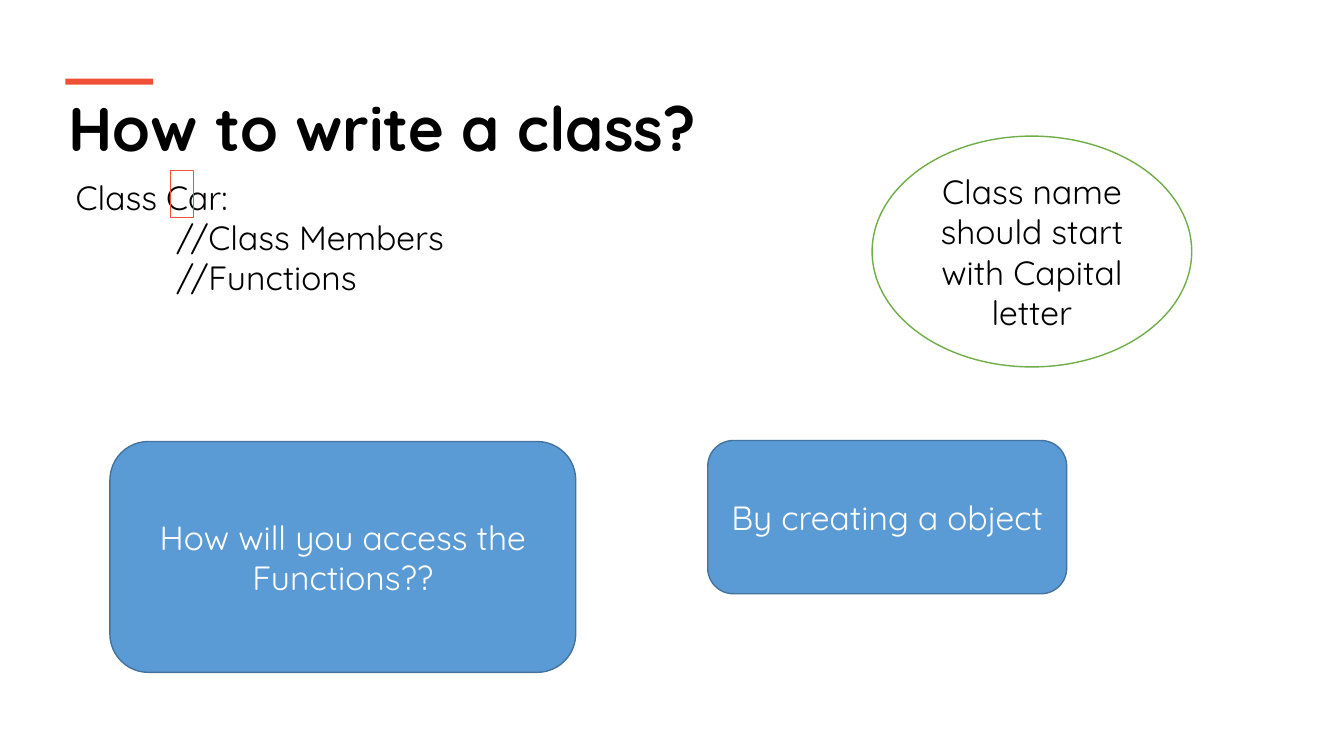
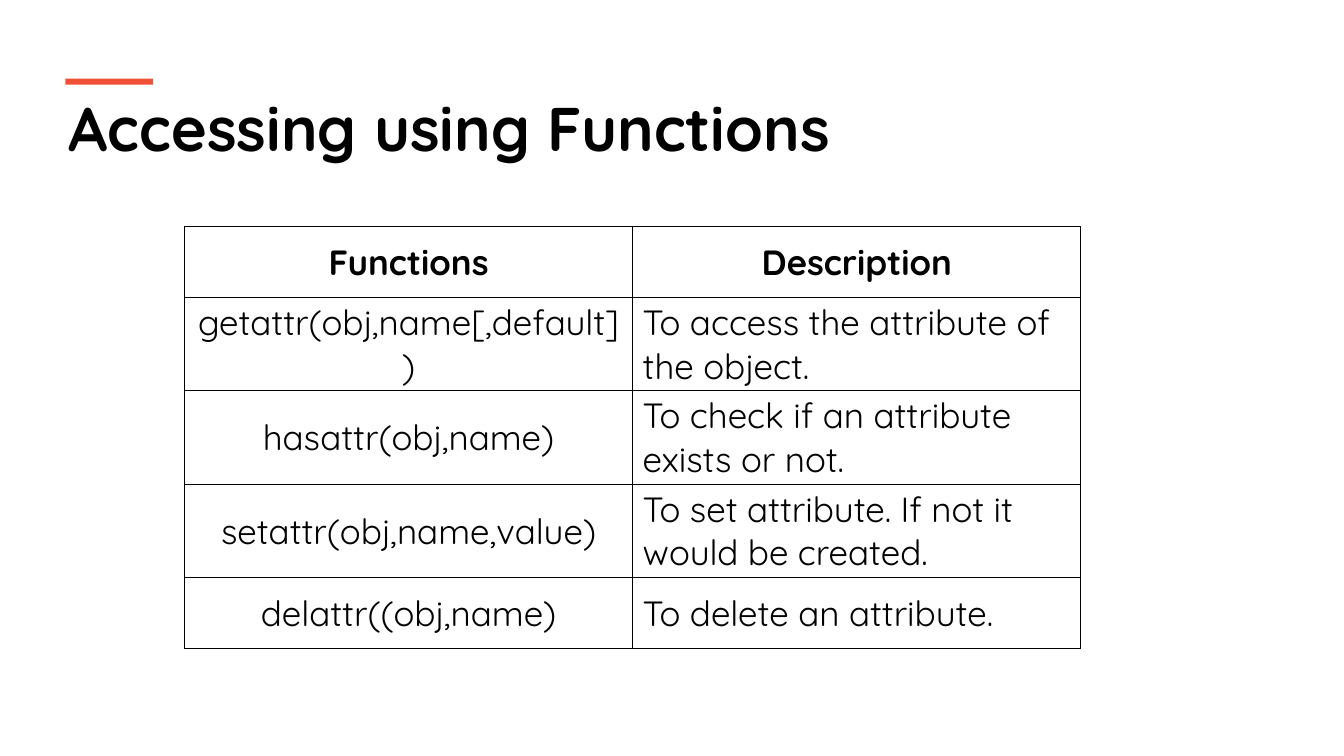
from pptx import Presentation
from pptx import util as u
from pptx.dml.color import RGBColor
from pptx.enum import shapes, text
from pptx.oxml.ns import qn
from lxml import etree

FONT = "Quicksand"
COLORS = {
    "ink": "000000", "paper": "FFFFFF", "accent": "F05136",
    "blue": "5B9BD5", "blue_edge": "43739E", "green": "70AD47",
}
SIZES = {"title": 44, "body": 24, "table": 25}
LEFT, MIDDLE = text.PP_ALIGN.LEFT, text.MSO_ANCHOR.MIDDLE
CENTER, TOP = text.PP_ALIGN.CENTER, text.MSO_ANCHOR.TOP
ELLIPSE = shapes.MSO_SHAPE.OVAL
RECTANGLE = shapes.MSO_SHAPE.RECTANGLE
ROUNDED = shapes.MSO_SHAPE.ROUNDED_RECTANGLE

CLASS_TITLE = "How to write a class?"
CLASS_LINES = [("Class Car:", 0), ("//Class Members", 1), ("//Functions", 1)]
CALLOUTS = [
    (ELLIPSE, (8.65, 1.35, 3.17, 2.29), "paper", "green", "ink",
     "Class name should start with Capital letter"),
    (RECTANGLE, (1.69, 1.69, 0.23, 0.47), None, "accent", "ink", ""),
    (ROUNDED, (1.09, 4.38, 4.62, 2.29), "blue", "blue_edge", "paper",
     "How will you access the Functions??"),
    (ROUNDED, (7.02, 4.37, 3.56, 1.52), "blue", "blue_edge", "paper",
     "By creating a object"),
]
ACCESS_TITLE = "Accessing using Functions"
ACCESS_ROWS = [
    ("Functions", "Description"),
    ("getattr(obj,name[,default])", "To access the attribute of the object."),
    ("hasattr(obj,name)", "To check if an attribute exists or not."),
    ("setattr(obj,name,value)", "To set attribute. If not it would be created."),
    ("delattr((obj,name)", "To delete an attribute."),
]


def box(*lengths):
    return [u.Inches(length) for length in lengths]


def rgb(name):
    return RGBColor.from_string(COLORS[name])


def write(frame, lines, size="body", color="ink", bold=False, align=LEFT,
          anchor=TOP):
    frame.word_wrap = True
    frame.vertical_anchor = anchor
    for index, (words, level) in enumerate(lines):
        paragraph = frame.add_paragraph() if index else frame.paragraphs[0]
        paragraph.alignment = align
        paragraph.space_before = u.Pt(0)
        properties = paragraph._p.get_or_add_pPr()
        properties.set("marL", str(u.Inches(level)))
        properties.set("indent", "0")
        etree.SubElement(properties, qn("a:buNone"))
        run = paragraph.add_run()
        run.text = words
        run.font.name = FONT
        run.font.size = u.Pt(SIZES[size])
        run.font.bold = bold
        run.font.color.rgb = rgb(color)


def place(placeholder, area):
    placeholder.left, placeholder.top, placeholder.width, placeholder.height = box(*area)
    placeholder.text_frame.auto_size = text.MSO_AUTO_SIZE.NONE


def add_shape(slide, kind, area, fill=None, line=None):
    shape = slide.shapes.add_shape(kind, *box(*area))
    shape.shadow.inherit = False
    for target, color in ((shape.fill, fill), (shape.line.fill, line)):
        if color:
            target.solid()
            target.fore_color.rgb = rgb(color)
        else:
            target.background()
    if line:
        shape.line.width = u.Pt(1)
    return shape


def add_slide(presentation, layout, title):
    slide = presentation.slides.add_slide(presentation.slide_layouts.get_by_name(layout))
    place(slide.shapes.title, (0.58, 0.84, 12.18, 0.86))
    write(slide.shapes.title.text_frame, [(title, 0)], size="title", bold=True)
    add_shape(slide, RECTANGLE, (0.65, 0.78, 0.87, 0.06), fill="accent")
    return slide


def add_borders(cell):
    properties = cell._tc.get_or_add_tcPr()
    for side in ("lnL", "lnR", "lnT", "lnB"):
        line = etree.SubElement(properties, qn("a:" + side), w=str(u.Pt(1)))
        fill = etree.SubElement(line, qn("a:solidFill"))
        etree.SubElement(fill, qn("a:srgbClr"), val=COLORS["ink"])


def add_table(slide, rows, area):
    table = slide.shapes.add_table(len(rows), len(rows[0]), *box(*area)).table
    table.first_row = table.horz_banding = False
    for row, entries in enumerate(rows):
        for column, words in enumerate(entries):
            cell = table.cell(row, column)
            add_borders(cell)
            cell.fill.background()
            cell.margin_top = cell.margin_bottom = u.Inches(0.03)
            header = row == 0
            write(cell.text_frame, [(words, 0)], size="table", bold=header,
                  align=CENTER if header or column == 0 else LEFT)
            cell.vertical_anchor = MIDDLE


def main():
    presentation = Presentation()
    presentation.slide_width, presentation.slide_height = box(13.33, 7.5)

    slide = add_slide(presentation, "Title and Content", CLASS_TITLE)
    body = slide.placeholders[1]
    place(body, (0.65, 1.7, 7.01, 1.36))
    write(body.text_frame, CLASS_LINES)
    for kind, area, fill, line, color, words in CALLOUTS:
        shape = add_shape(slide, kind, area, fill, line)
        if words:
            write(shape.text_frame, [(words, 0)], color=color, align=CENTER,
                  anchor=MIDDLE)

    slide = add_slide(presentation, "Title Only", ACCESS_TITLE)
    add_table(slide, ACCESS_ROWS, (1.83, 2.25, 8.89, 3.5))
    presentation.save("out.pptx")


if __name__ == "__main__":
    main()
